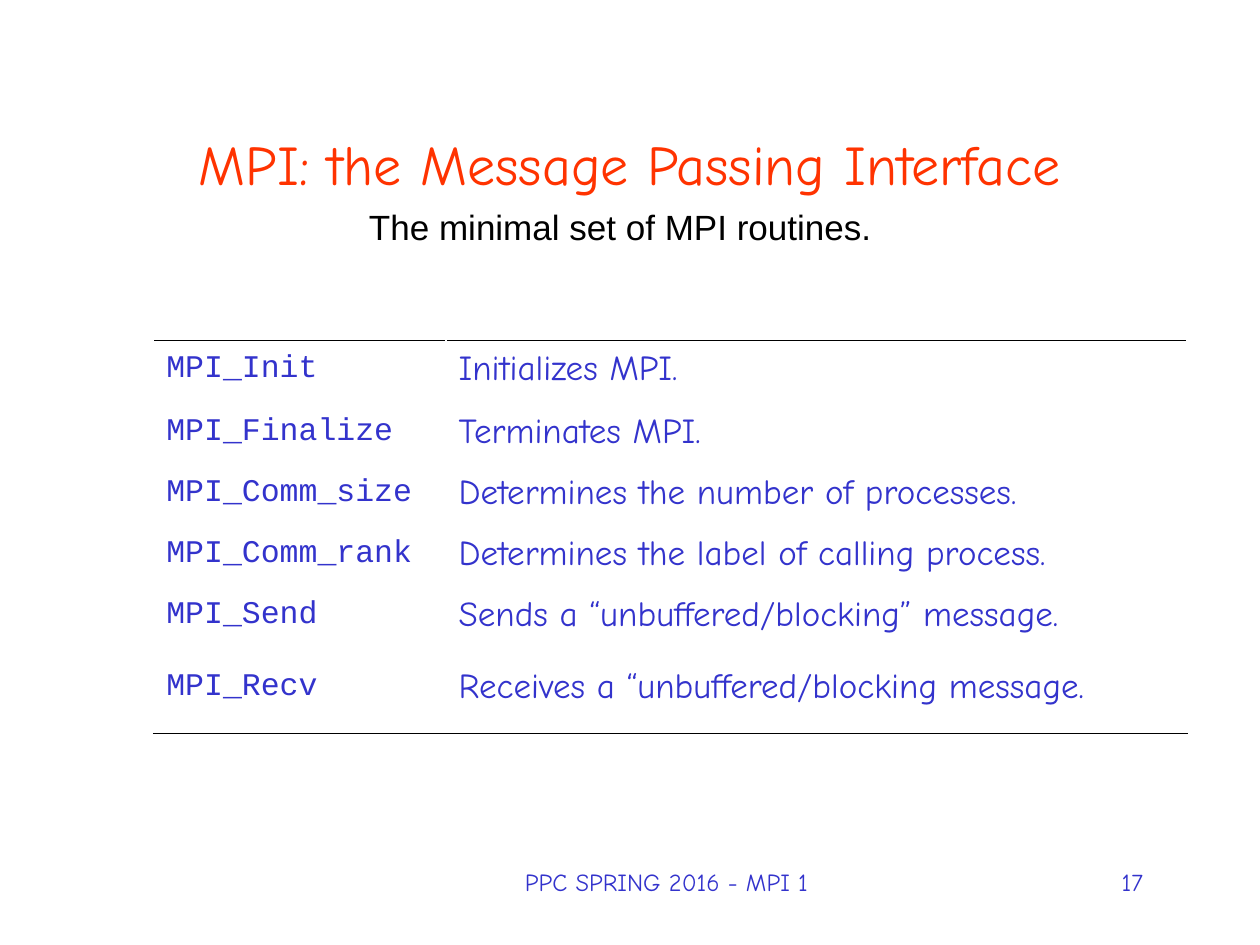
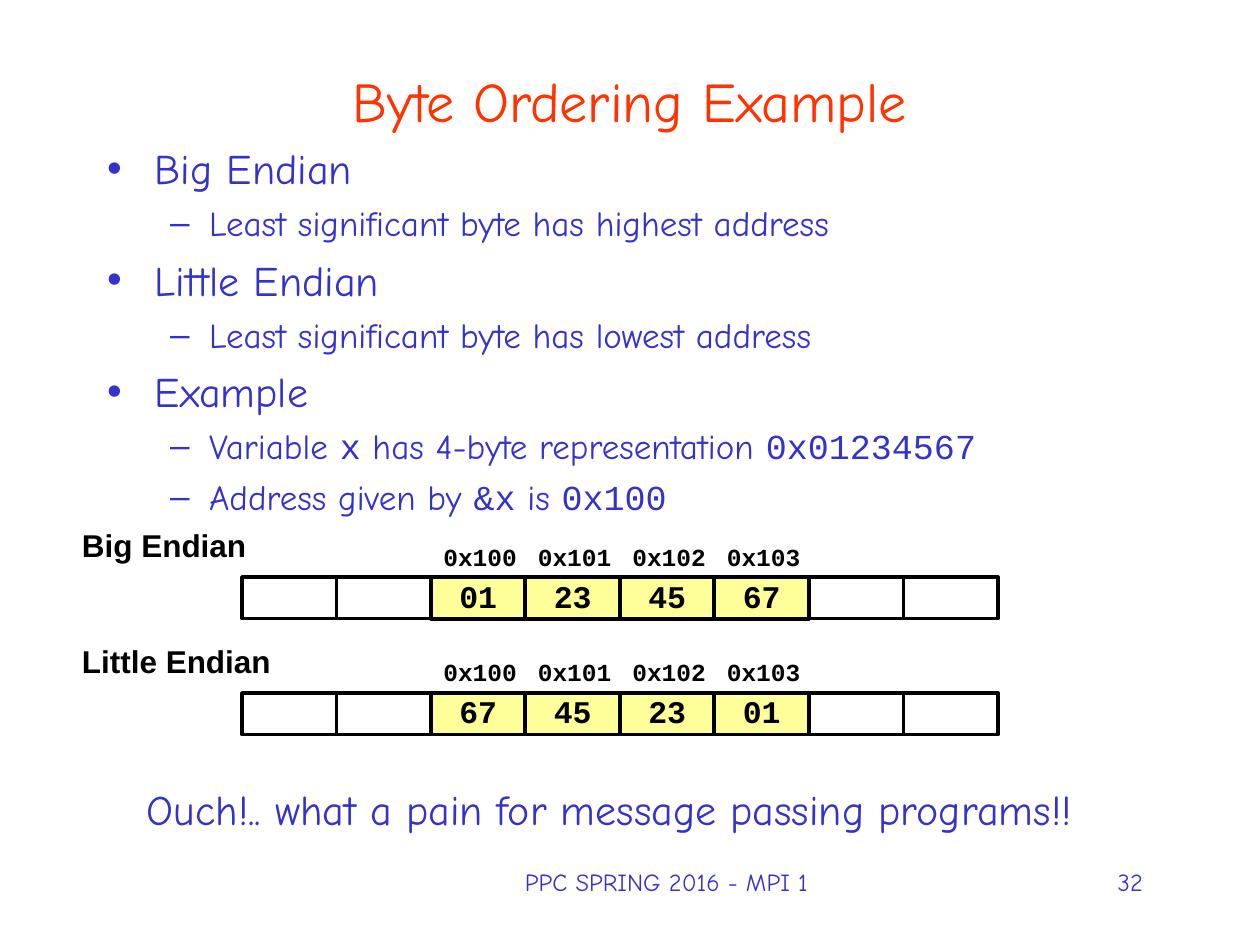
from dataclasses import dataclass

from lxml.etree import SubElement
from pptx import Presentation
from pptx.dml.color import RGBColor
from pptx.enum.shapes import MSO_SHAPE as Preset
from pptx.enum.text import MSO_ANCHOR as Anchor, MSO_AUTO_SIZE as AutoSize, PP_ALIGN as Align
from pptx.oxml import parse_xml
from pptx.oxml.ns import nsdecls, qn
from pptx.util import Inches, Pt


@dataclass(frozen=True)
class Theme:
    heading: str = "FF3300"
    body: str = "3333CC"
    ink: str = "000000"
    paper: str = "FFFFFF"
    byte: str = "FFFF99"
    hand: str = "Comic Neue"
    plain: str = "Arial"
    code: str = "Courier New"
    title_size: int = 32
    large_size: int = 24
    text_size: int = 20
    label_size: int = 18
    small_size: int = 14


THEME = Theme()
COURSE = "PPC SPRING 2016 - MPI 1"
LEVELS = [
    {"size": THEME.large_size, "before": 6, "margin": 0.38, "hang": 0.38, "mark": "•"},
    {"size": THEME.text_size, "before": 5, "margin": 0.81, "hang": 0.31, "mark": "–"},
]
ROUTINES = [
    ("MPI_Init", "Initializes MPI.", 0.46),
    ("MPI_Finalize", "Terminates MPI.", 0.54),
    ("MPI_Comm_size", "Determines the number of processes.", 0.33),
    ("MPI_Comm_rank", "Determines the label of calling process.", 0.55),
    ("MPI_Send", "Sends a “unbuffered/blocking” message.", 0.36),
    ("MPI_Recv", "Receives a “unbuffered/blocking message.", 0.73),
]
ORDERINGS = [
    (0, "Big Endian"),
    (1, "Least significant byte has highest address"),
    (0, "Little Endian"),
    (1, "Least significant byte has lowest address"),
    (0, "Example"),
    (1, "Variable `x` has 4-byte representation `0x01234567`"),
    (1, "Address given by `&x` is `0x100`"),
]
ADDRESSES = ["0x100", "0x101", "0x102", "0x103"]
BYTES = ["01", "23", "45", "67"]
MEMORY_LEFT, CELL_WIDTH, CELL_HEIGHT = 1.92, 0.75, 0.33
FIRST_BYTE, MEMORY_CELLS = 2, 8


def apply(target, formats):
    for attribute, value in formats.items():
        setattr(target, attribute, value)


def box(left, top, width, height):
    return [Inches(length) for length in (left, top, width, height)]


def add_run(paragraph, text, size, color=THEME.body, face=THEME.hand, bold=False):
    run = paragraph.add_run()
    run.text = text
    apply(run.font, {"size": Pt(size), "name": face, "bold": bold})
    run.font.color.rgb = RGBColor.from_string(color)


def set_frame(frame, inset_x=0.1, inset_y=0.05, wrap=True, anchor=Anchor.TOP):
    apply(frame, {
        "auto_size": AutoSize.NONE, "word_wrap": wrap, "vertical_anchor": anchor,
        "margin_left": Inches(inset_x), "margin_right": Inches(inset_x),
        "margin_top": Inches(inset_y), "margin_bottom": Inches(inset_y),
    })
    return frame.paragraphs[0]


def add_text(slide, place, text, size, align=Align.LEFT, spacing=1.0, frame=None, **font):
    caption = slide.shapes.add_textbox(*box(*place))
    paragraph = set_frame(caption.text_frame, **(frame or {}))
    apply(paragraph, {"alignment": align, "line_spacing": spacing})
    add_run(paragraph, text, size, **font)


def place_placeholder(placeholder, place):
    apply(placeholder, dict(zip(("left", "top", "width", "height"), box(*place))))


def add_slide(deck, layout, title, title_top, number):
    slide = deck.slides.add_slide(deck.slide_layouts.get_by_name(layout))
    heading = slide.shapes.title
    place_placeholder(heading, (0.75, title_top, 8.5, 1.25))
    paragraph = set_frame(heading.text_frame, anchor=Anchor.MIDDLE)
    paragraph.alignment = Align.CENTER
    add_run(paragraph, title, THEME.title_size, THEME.heading)
    add_text(slide, (2.58, 6.83, 5.42, 0.5), COURSE, THEME.small_size, Align.CENTER)
    add_text(slide, (8.17, 6.83, 1, 0.5), number, THEME.small_size, Align.RIGHT)
    return slide


def indent(paragraph, margin, hang):
    properties = paragraph._p.get_or_add_pPr()
    properties.set("marL", str(Inches(margin)))
    properties.set("indent", str(-Inches(hang)))
    return properties


def add_bullet(paragraph, text, level, first):
    style = LEVELS[level]
    apply(paragraph, {"level": level, "space_before": Pt(0 if first else style["before"])})
    properties = indent(paragraph, style["margin"], style["hang"])
    color = SubElement(properties, qn("a:buClr"))
    SubElement(color, qn("a:srgbClr"), val=THEME.body)
    SubElement(properties, qn("a:buChar"), char=style["mark"])
    for position, part in enumerate(text.split("`")):
        if part:
            face = THEME.code if position % 2 else THEME.hand
            add_run(paragraph, part, style["size"], face=face)


def add_bullets(slide, place, items):
    body = slide.placeholders[1]
    place_placeholder(body, place)
    paragraph = set_frame(body.text_frame)
    for position, (level, text) in enumerate(items):
        if position:
            paragraph = body.text_frame.add_paragraph()
        add_bullet(paragraph, text, level, position == 0)


def rule_cell(cell, side):
    cell._tc.get_or_add_tcPr().insert(0, parse_xml(
        f'<a:{side} {nsdecls("a")} w="{Pt(0.45)}"><a:solidFill>'
        f'<a:srgbClr val="{THEME.ink}"/></a:solidFill></a:{side}>'))


def add_routine_table(slide, place, widths):
    table = slide.shapes.add_table(len(ROUTINES), len(widths), *box(*place)).table
    apply(table, {"first_row": False, "horz_banding": False})
    for column, width in zip(table.columns, widths):
        column.width = Inches(width)
    fonts = [(THEME.label_size, THEME.code), (THEME.text_size, THEME.hand)]
    for row, (routine, purpose, height) in zip(table.rows, ROUTINES):
        row.height = Inches(height)
        for cell, text, (size, face) in zip(row.cells, (routine, purpose), fonts):
            cell.fill.background()
            cell.vertical_anchor = Anchor.MIDDLE
            paragraph = cell.text_frame.paragraphs[0]
            indent(paragraph, 0.38, 0.38)
            add_run(paragraph, text, size, face=face)
    for column in range(len(widths)):
        rule_cell(table.cell(0, column), "lnT")
        rule_cell(table.cell(len(ROUTINES) - 1, column), "lnB")


def add_memory_cell(shapes, index, top, fill=THEME.paper, border=0, text="",
                    size=THEME.label_size, align=Align.CENTER, inset=0.05, spacing=1.0):
    left = MEMORY_LEFT + index * CELL_WIDTH
    cell = shapes.add_shape(Preset.RECTANGLE, *box(left, top, CELL_WIDTH, CELL_HEIGHT))
    cell.shadow.inherit = False
    cell.fill.solid()
    cell.fill.fore_color.rgb = RGBColor.from_string(fill)
    if border:
        cell.line.color.rgb = RGBColor.from_string(THEME.ink)
        cell.line.width = Pt(border)
    else:
        cell.line.fill.background()
    if text:
        paragraph = set_frame(cell.text_frame, inset, wrap=False, anchor=Anchor.MIDDLE)
        apply(paragraph, {"alignment": align, "line_spacing": spacing})
        add_run(paragraph, text, size, THEME.ink, THEME.code, True)


def add_memory(slide, name, top, values):
    cells_top = top + CELL_HEIGHT
    memory = slide.shapes.add_group_shape().shapes
    used = range(FIRST_BYTE, FIRST_BYTE + len(values))
    for index, address in zip(used, ADDRESSES):
        add_memory_cell(memory, index, top, text=address, size=THEME.small_size,
                        align=Align.LEFT, inset=0.1)
    for index in range(MEMORY_CELLS):
        if index not in used:
            add_memory_cell(memory, index, cells_top, border=2)
    add_text(slide, (0.58, top - 0.08, 1.95, 0.34), name, THEME.label_size, spacing=0.95,
             frame={"inset_x": 0.07, "inset_y": 0.03},
             color=THEME.ink, face=THEME.plain, bold=True)
    for index, value in zip(used, values):
        add_memory_cell(slide.shapes, index, cells_top, THEME.byte, 2.25, value, spacing=0.9)


def build_routines(deck):
    slide = add_slide(deck, "Title Only", "MPI: the Message Passing Interface", 0.67, "17")
    add_text(slide, (2.83, 1.58, 4.19, 0.44), "The minimal set of MPI routines.",
             THEME.text_size, frame={"wrap": False}, color=THEME.ink, face=THEME.plain)
    add_routine_table(slide, (1.22, 2.7, 8.2, 2.97), (2.32, 5.88))


def build_byte_ordering(deck):
    slide = add_slide(deck, "Title and Content", "Byte Ordering Example", 0.17, "32")
    add_bullets(slide, (0.75, 1.08, 8.5, 5), ORDERINGS)
    add_memory(slide, "Big Endian", 4.25, BYTES)
    add_memory(slide, "Little Endian", 5.17, BYTES[::-1])
    add_text(slide, (0.75, 6.17, 8.17, 0.5),
             "Ouch!.. what a pain for message passing programs!!",
             THEME.large_size, Align.CENTER)


def main():
    deck = Presentation()
    apply(deck, {"slide_width": Inches(10), "slide_height": Inches(7.5)})
    build_routines(deck)
    build_byte_ordering(deck)
    deck.save("out.pptx")


if __name__ == "__main__":
    main()
